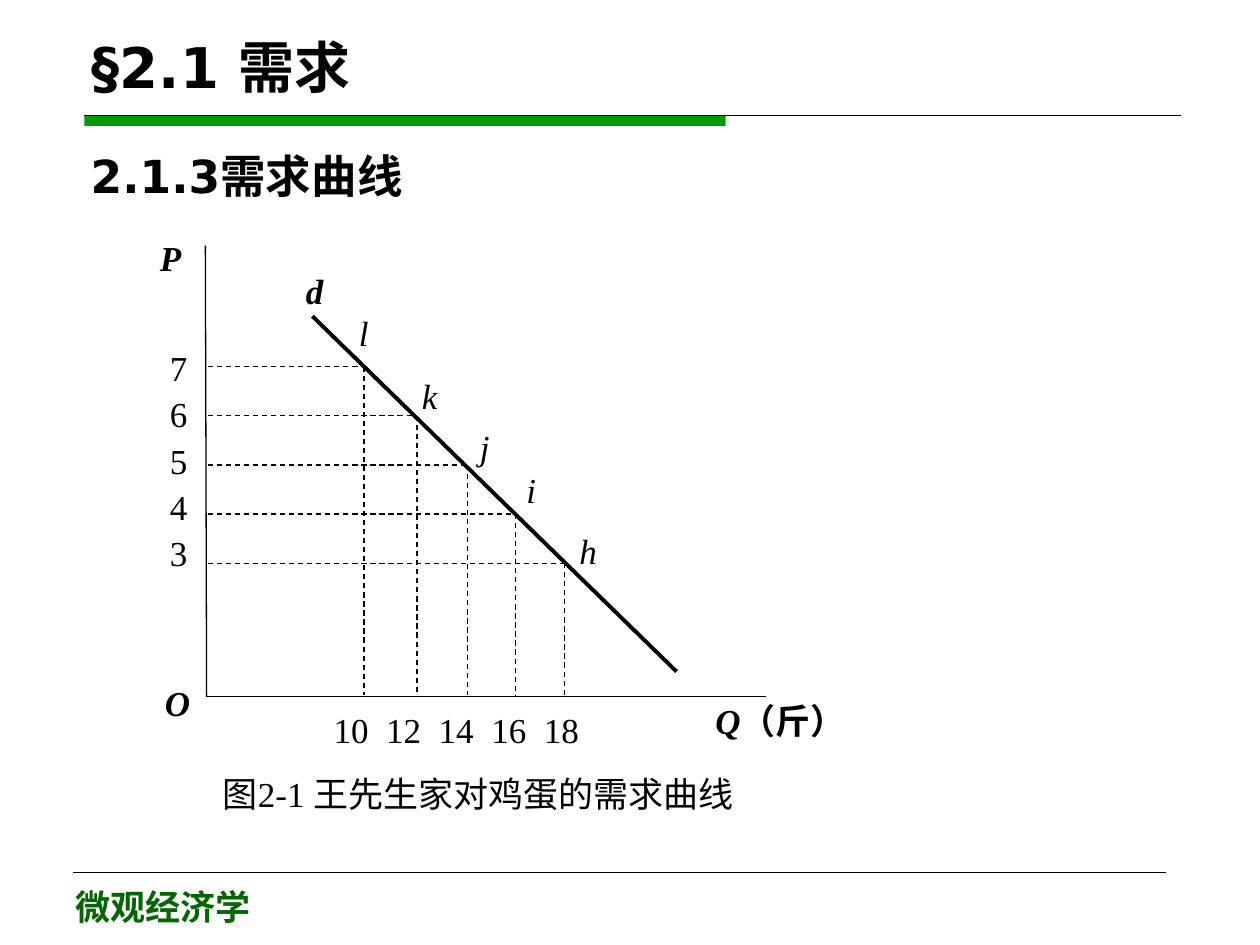
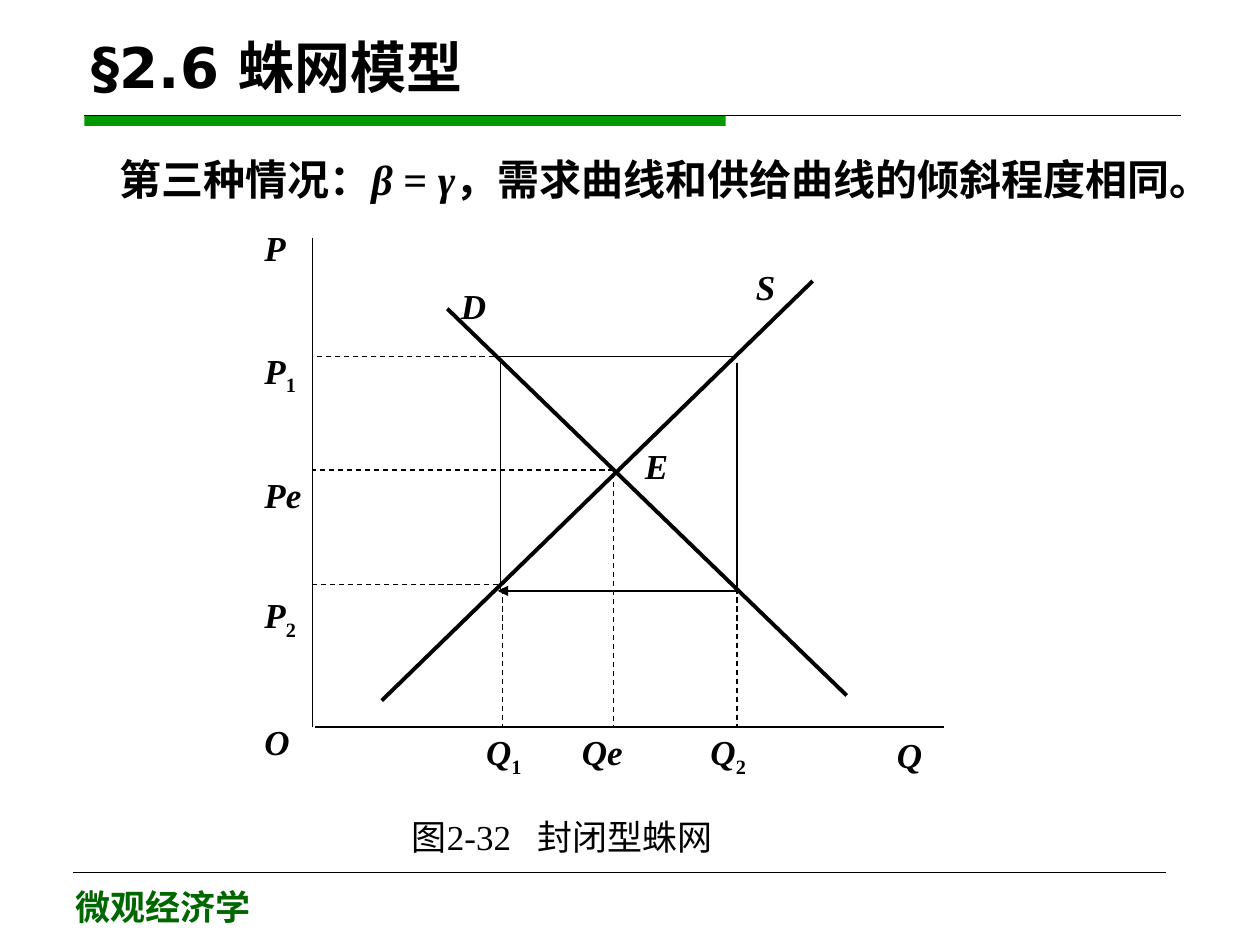
from lxml.etree import SubElement
from pptx import Presentation
from pptx.dml.color import RGBColor
from pptx.enum.dml import MSO_LINE
from pptx.enum.shapes import MSO_CONNECTOR, MSO_SHAPE
from pptx.enum.text import MSO_ANCHOR, MSO_AUTO_SIZE, PP_ALIGN
from pptx.oxml.ns import qn
from pptx.util import Inches, Pt

BLACK, GREEN, DEEP = "000000", "009900", "006600"
SANS, SERIF = "DejaVu Sans", "Times New Roman"
SUB = {"italic": False, "base": -25000}
hue = RGBColor.from_string


def write(page, at, *paras, box=None, font=SERIF, size=20, color=BLACK,
          bold=False, italic=False, align=PP_ALIGN.LEFT, anchor=MSO_ANCHOR.TOP,
          space=1.0, before=0, wrap=True):
    """Fill a box; a paragraph is a string or a list of strings and (string, format)."""
    box = box or page.shapes.add_textbox(0, 0, 0, 0)
    box.left, box.top, box.width, box.height = map(Inches, at)
    frame = box.text_frame
    frame.word_wrap = wrap
    frame.auto_size = MSO_AUTO_SIZE.NONE
    frame.vertical_anchor = anchor
    for n, runs in enumerate(paras):
        para = frame.add_paragraph() if n else frame.paragraphs[0]
        props = para._p.get_or_add_pPr()
        for key in ("marL", "indent", "hangingPunct"):
            props.set(key, "0")
        SubElement(props, qn("a:buNone"))
        para.alignment = align
        para.line_spacing = space
        para.space_before = Pt(before if n else 0)
        for part in [runs] if isinstance(runs, str) else runs:
            text, form = (part, {}) if isinstance(part, str) else part
            run = para.add_run()
            run.text = text
            run.font.name = font
            run.font.size = Pt(size)
            run.font.bold = bold
            run.font.italic = form.get("italic", italic)
            run.font.color.rgb = hue(color)
            mark = run.font._element
            SubElement(mark, qn("a:ea"), typeface=SANS)
            if "base" in form:
                mark.set("baseline", str(form["base"]))
            if "gap" in form:
                mark.set("spc", str(form["gap"] * 100))


def line(page, x1, y1, x2, y2, width=0.75, dash=False, arrow=False):
    wire = page.shapes.add_connector(
        MSO_CONNECTOR.STRAIGHT, *map(Inches, (x1, y1, x2, y2)))
    wire.line.color.rgb = hue(BLACK)
    wire.line.width = Pt(width)
    if dash:
        wire.line.dash_style = MSO_LINE.DASH
    if arrow:
        SubElement(wire.line._get_or_add_ln(), qn("a:tailEnd"), type="triangle")
    SubElement(wire._element.spPr, qn("a:effectLst"))
    return wire


deck = Presentation()
deck.slide_width, deck.slide_height = Inches(10), Inches(7.5)
first = deck.slides.add_slide(deck.slide_layouts[1])
second = deck.slides.add_slide(deck.slide_layouts[5])

# Band and footer rule, moved to the master
band = first.shapes.add_shape(
    MSO_SHAPE.RECTANGLE, *map(Inches, (0.67, 0.92, 5.09, 0.08)))
band.shadow.inherit = False
band.fill.solid()
band.fill.fore_color.rgb = hue(GREEN)
band.line.fill.background()
rules = [line(first, 0.67, 0.92, 9.37, 0.92, width=0.5), band,
         line(first, 0.58, 6.92, 9.25, 6.92, width=0.25)]
for n, rule in enumerate(rules):
    rule._element.xpath(".//p:cNvPr")[0].set("id", str(20 + n))
    deck.slide_master.shapes.element.append(rule._element)

# Footer and title of each slide
for page, title in ((first, "§2.1 需求"), (second, "§2.6 蛛网模型")):
    write(page, (0.5, 6.98, 2.5, 0.52), "微观经济学", font=SANS, color=DEEP, bold=True)
    write(page, (0.63, 0.17, 8.75, 0.67), title, box=page.shapes.title,
          font=SANS, size=32, bold=True, anchor=MSO_ANCHOR.BOTTOM)

# Slide 1: demand curve
write(first, (0.62, 1.17, 4.29, 0.5), "2.1.3需求曲线", box=first.placeholders[1],
      font=SANS, size=26, bold=True, space=0.9)
write(first, (1.25, 2.67, 0.54, 1.83), *"76543", space=1.1)
write(first, (1.67, 6.08, 4.5, 0.63), "图2-1 王先生家对鸡蛋的需求曲线")
for name, x, y in (("d", 2.33, 2.09), ("O", 1.21, 5.36), ("P", 1.17, 1.83)):
    write(first, (x, y, 0.54, 0.51), name, bold=True, italic=True)
write(first, (5.58, 5.5, 1.24, 0.6), ["Q", ("（斤）", {"italic": False})],
      bold=True, italic=True)

line(first, 1.64, 5.53, 6.08, 5.53)
line(first, 1.64, 5.53, 1.63, 1.95)
line(first, 2.48, 2.51, 5.37, 5.33, width=2.25)
points = (("l", 2.89, 2.75, 2.42), ("k", 3.31, 3.25, 2.92), ("j", 3.71, 3.71, 3.33),
          ("i", 4.09, 4.08, 3.67), ("h", 4.48, 4.5, 4.15))
for n, (name, x, left, top) in enumerate(points):
    y = 2.91 + 0.39 * n
    line(first, 1.65, y, x, y, dash=True)
    line(first, x, y, x, 5.52, dash=True)
    write(first, (left, top, 0.54, 0.51), name, italic=True)
    write(first, (2.55 + 0.417 * n, 5.57, 0.54, 0.51), str(10 + 2 * n))

# Slide 2: closed cobweb
write(second, (0.85, 1.17, 8.94, 0.5),
      ["第三种情况：", ("β", {"italic": True}), " = ", ("γ", {"italic": True}),
       "，需求曲线和供给曲线的倾斜程度相同。"],
      size=24, bold=True, align=PP_ALIGN.JUSTIFY)
for name, x, y in (("E", 5.02, 3.48), ("D", 3.56, 2.21), ("S", 5.9, 2.06),
                   ("O", 2, 5.67), ("Q", 7.02, 5.77), ("P", 2, 1.75)):
    write(second, (x, y, 0.45, 0.44), name, bold=True, italic=True)
for x, name in ((3.76, ["Q", ("1", SUB)]), (4.52, "Qe"), (5.54, ["Q", ("2", SUB)])):
    write(second, (x, 5.75, 0.6, 0.57), name, bold=True, italic=True)
write(second, (2, 2.57, 0.49, 2.63), ["P", ("1", SUB)], "Pe", ["P", ("2", SUB)],
      bold=True, italic=True, space=1.4, before=34, wrap=False)
write(second, (3.17, 6.42, 2.8, 0.52),
      ["图2-32", (" ", {"gap": 10}), "封闭型蛛网"], wrap=False)

line(second, 2.5, 5.77, 7.49, 5.77)
line(second, 2.48, 5.77, 2.48, 1.89)
line(second, 3.55, 2.45, 6.72, 5.52, width=2.25)
line(second, 6.45, 2.23, 3.03, 5.56, width=2.25)
line(second, 3.95, 2.83, 5.83, 2.83)
line(second, 5.85, 2.88, 5.85, 4.71)
line(second, 5.85, 4.69, 3.95, 4.69, width=1, arrow=True)
line(second, 3.97, 2.85, 3.97, 4.69)
for x, y in ((3.99, 2.83), (4.87, 3.73), (3.95, 4.64)):
    line(second, x, y, 2.48, y, dash=True)
for x, y in ((3.99, 4.67), (4.87, 3.75), (5.85, 4.67)):
    line(second, x, y, x, 5.77, dash=True)

deck.save("out.pptx")
